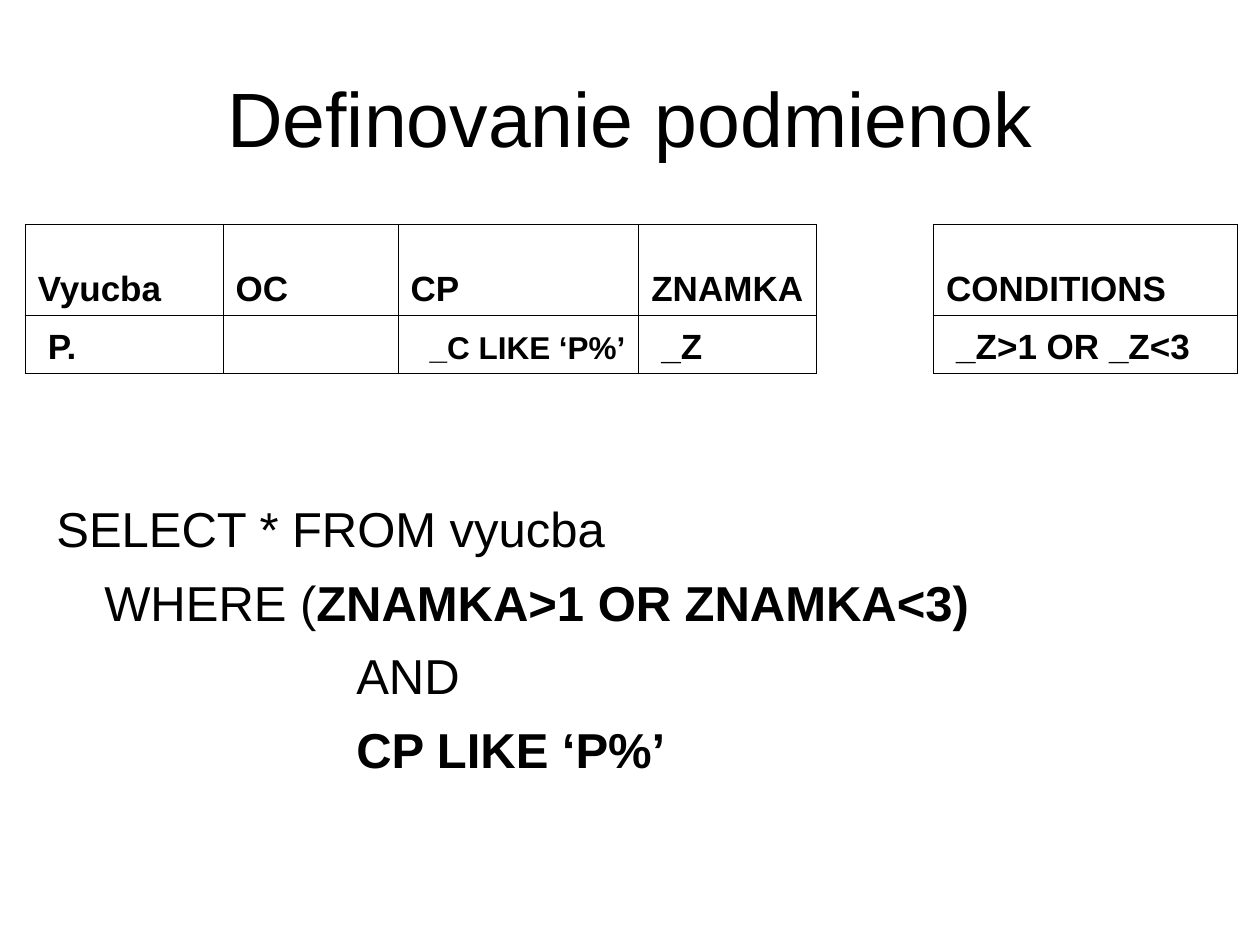
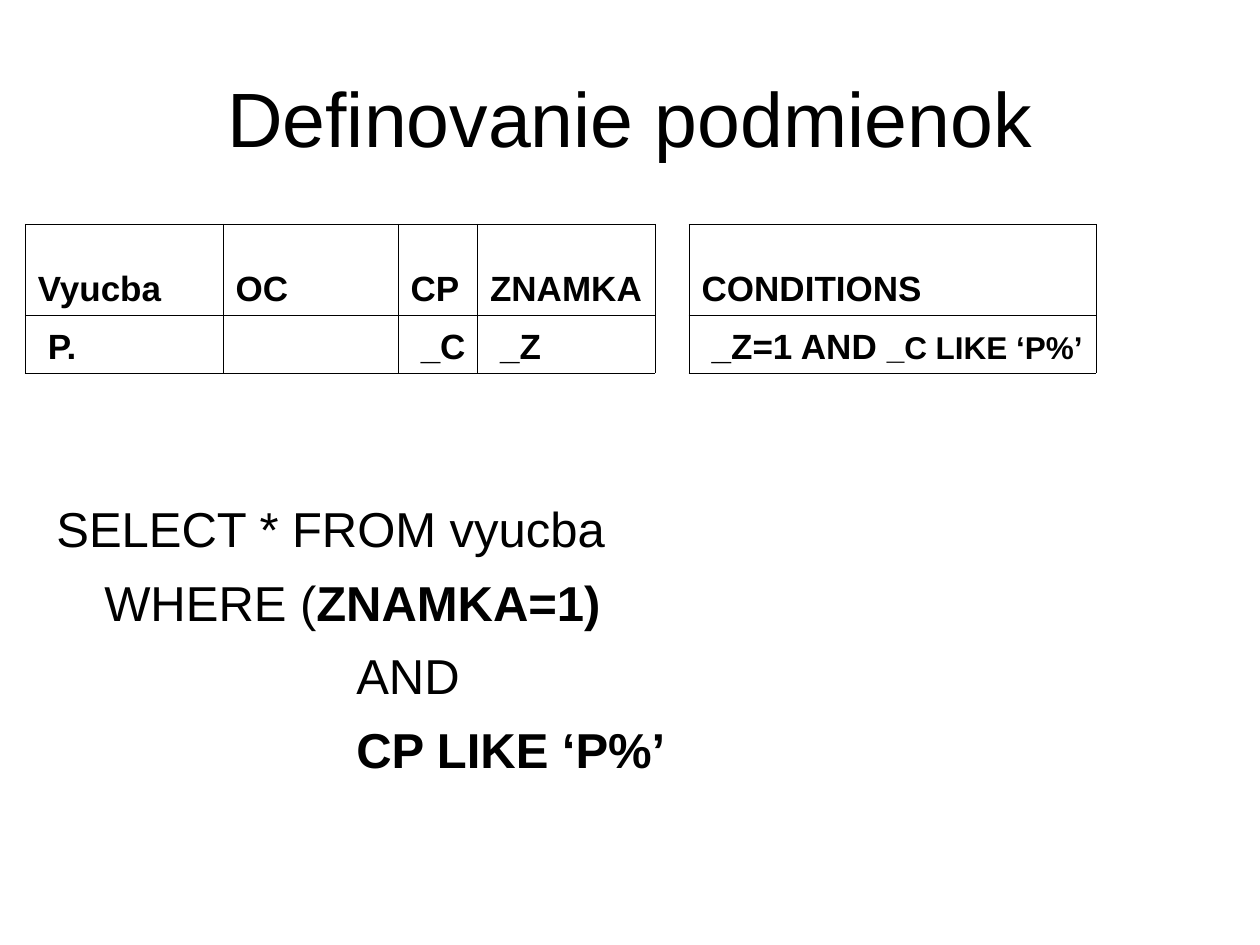
from lxml import etree
from pptx import Presentation
from pptx.dml.color import RGBColor
from pptx.enum.text import MSO_ANCHOR, PP_ALIGN
from pptx.oxml.ns import qn
from pptx.util import Inches, Pt

MIDDLE, BOTTOM, TOP = MSO_ANCHOR.MIDDLE, MSO_ANCHOR.BOTTOM, MSO_ANCHOR.TOP
CENTER = PP_ALIGN.CENTER
COLORS = {"ink": "000000"}
FONT = "Arial"
TITLE = "Definovanie podmienok"
HEADERS = ["Vyucba", "OC", "CP", "ZNAMKA", "", "CONDITIONS"]
GAP_COL = HEADERS.index("")
ROW_HEIGHTS = [0.72, 0.46]
HEADER_INSET, VALUE_INSET, WIDE_INSET = 0.1, 0.18, 0.25
LIKE = ("_C LIKE ‘P%’", 18)

SLIDES = [
    {
        "cols": [1.57, 1.39, 1.91, 1.41, 0.93, 2.41],
        "values": [[("P.", 20)], [], [LIKE], [("_Z", 20)], [],
                   [("_Z>1 OR _Z<3", 20)]],
        "insets": {2: WIDE_INSET},
        "condition": "ZNAMKA>1 OR ZNAMKA<3)",
    },
    {
        "cols": [1.57, 1.39, 0.63, 1.41, 0.26, 3.23],
        "values": [[("P.", 20)], [], [("_C", 20)], [("_Z", 20)], [],
                   [("_Z=1 AND ", 20), LIKE]],
        "insets": {},
        "condition": "ZNAMKA=1)",
    },
]


def query_lines(condition):
    return [
        (0, [("SELECT * FROM vyucba", False)]),
        (0.38, [("WHERE (", False), (condition, True)]),
        (2.38, [("AND", False)]),
        (2.38, [("CP LIKE ‘P%’", True)]),
    ]


def add_run(p, text, size, bold=False):
    r = p.add_run()
    r.text = text
    for name, value in {"name": FONT, "size": Pt(size), "bold": bold}.items():
        setattr(r.font, name, value)
    r.font.color.rgb = RGBColor.from_string(COLORS["ink"])


def set_borders(cell, sides):
    tcPr = cell._tc.get_or_add_tcPr()
    for side in "LRTB":
        ln = etree.SubElement(tcPr, qn(f"a:ln{side}"), w=str(Pt(0.45)))
        if side in sides:
            fill = etree.SubElement(ln, qn("a:solidFill"))
            etree.SubElement(fill, qn("a:srgbClr"), val=COLORS["ink"])
        else:
            etree.SubElement(ln, qn("a:noFill"))


def add_title(s):
    sp = s.shapes.title
    sp.left, sp.top, sp.width, sp.height = map(Inches, (0.5, 0.3, 9, 1.25))
    tf = sp.text_frame
    tf.vertical_anchor = MIDDLE
    p = tf.paragraphs[0]
    p.alignment = CENTER
    add_run(p, TITLE, 44)


def add_query(s, condition):
    sp = s.shapes.add_textbox(*map(Inches, (0.35, 3.91, 9.06, 2.68)))
    tf = sp.text_frame
    tf.word_wrap = True
    tf.vertical_anchor = TOP
    for i, (indent, runs) in enumerate(query_lines(condition)):
        p = tf.add_paragraph() if i else tf.paragraphs[0]
        p.space_before = Pt(8.4 if i else 0)
        p._p.get_or_add_pPr().set("marL", str(Inches(indent)))
        for text, bold in runs:
            add_run(p, text, 28, bold)


def add_grid(s, content):
    cols = content["cols"]
    rows = [[[(h, 20)] if h else [] for h in HEADERS], content["values"]]
    table = s.shapes.add_table(
        len(rows), len(cols), Inches(0.2), Inches(1.78),
        Inches(sum(cols)), Inches(sum(ROW_HEIGHTS))).table
    table.first_row = table.horz_banding = False
    for col, width in zip(table.columns, cols):
        col.width = Inches(width)
    for y, (row, height) in enumerate(zip(rows, ROW_HEIGHTS)):
        table.rows[y].height = Inches(height)
        for x, runs in enumerate(row):
            cell = table.cell(y, x)
            inset = content["insets"].get(x, VALUE_INSET) if y else HEADER_INSET
            cell_format = {
                "margin_left": Inches(inset), "margin_right": Inches(0.05),
                "margin_top": Inches(0.05), "margin_bottom": Inches(0.05),
                "vertical_anchor": BOTTOM,
            }
            for name, value in cell_format.items():
                setattr(cell, name, value)
            set_borders(cell, "LR" if x == GAP_COL else "LRTB")
            cell.fill.background()
            for text, size in runs:
                add_run(cell.text_frame.paragraphs[0], text, size, True)


def main():
    prs = Presentation()
    prs.slide_width, prs.slide_height = Inches(10), Inches(7.5)
    for content in SLIDES:
        s = prs.slides.add_slide(prs.slide_layouts[5])
        add_title(s)
        add_query(s, content["condition"])
        add_grid(s, content)
    prs.save("out.pptx")


if __name__ == "__main__":
    main()
